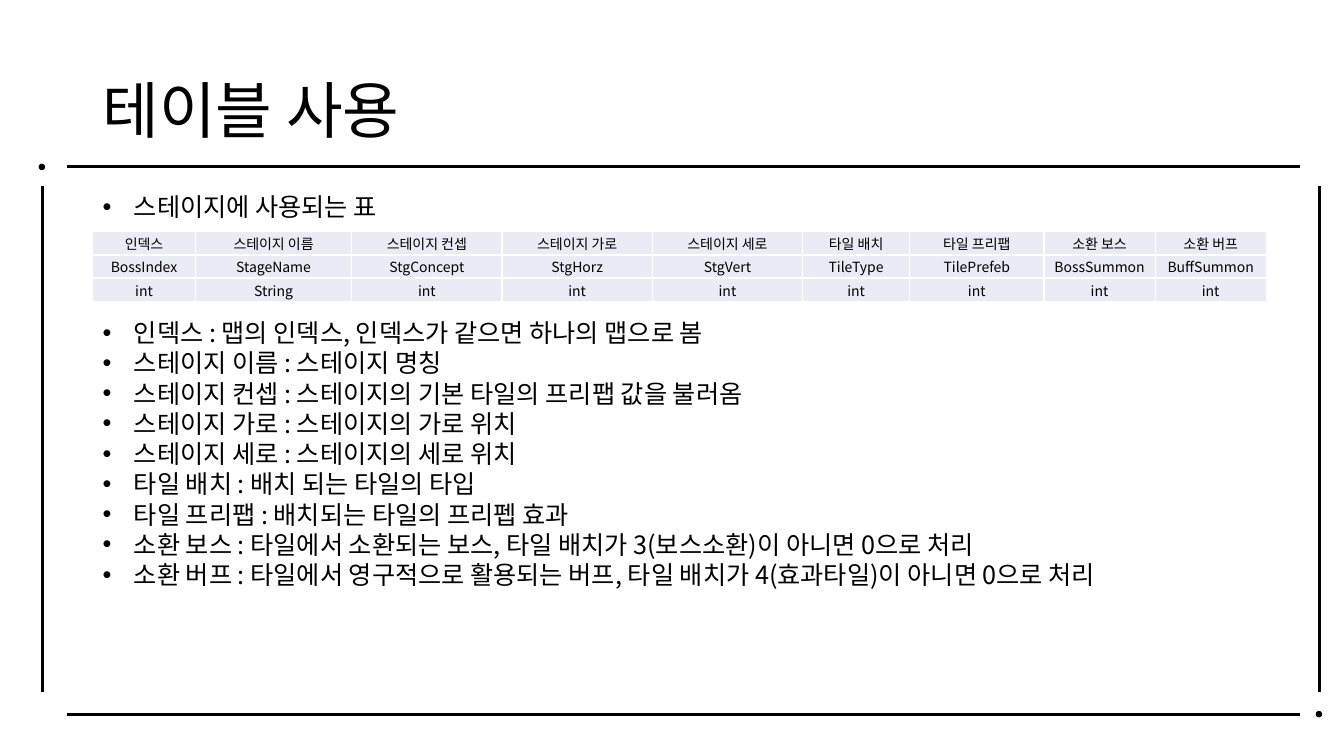
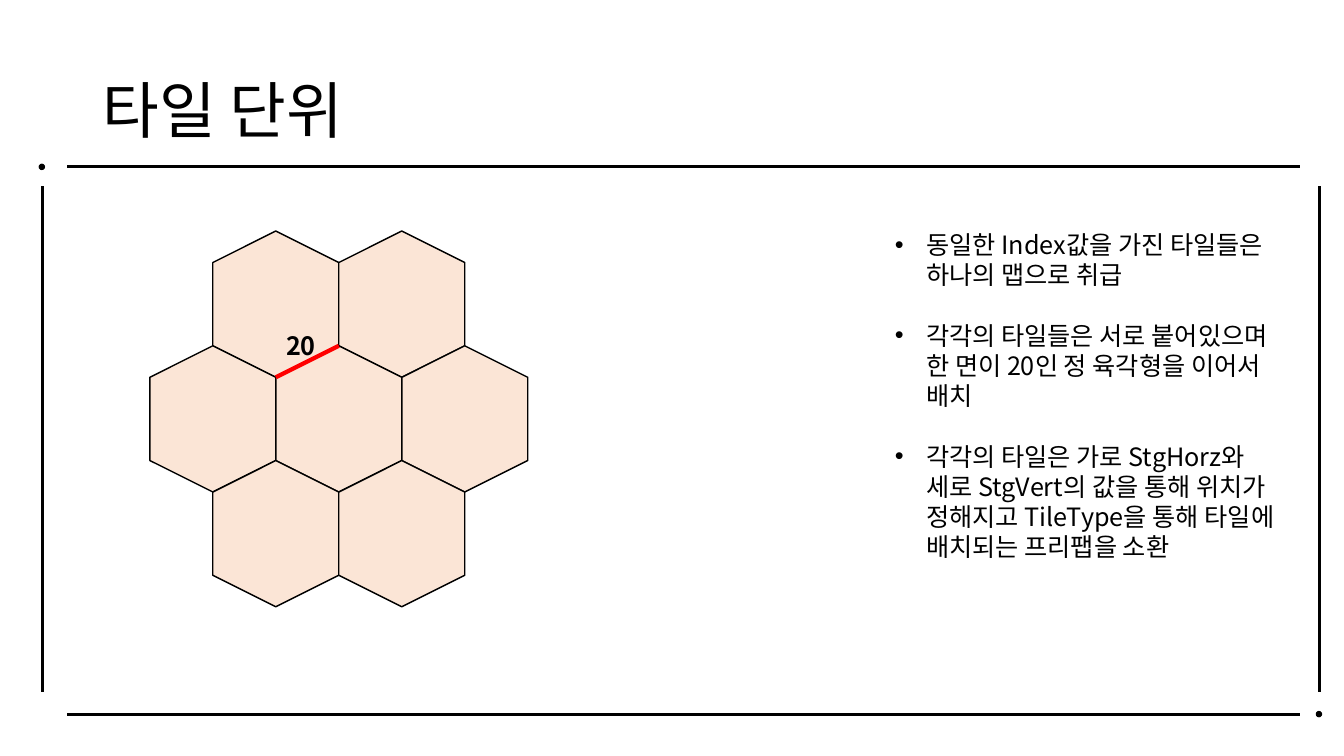
from lxml import etree
from pptx import Presentation
from pptx.dml.color import RGBColor
from pptx.enum.shapes import MSO_CONNECTOR, MSO_SHAPE
from pptx.enum.text import MSO_ANCHOR, PP_ALIGN
from pptx.oxml.ns import qn
from pptx.util import Pt

STRAIGHT = MSO_CONNECTOR.STRAIGHT
HEXAGON, OVAL = MSO_SHAPE.HEXAGON, MSO_SHAPE.OVAL
TOP, MIDDLE = MSO_ANCHOR.TOP, MSO_ANCHOR.MIDDLE
LEFT, CENTER = PP_ALIGN.LEFT, PP_ALIGN.CENTER

FONT = "Noto Sans CJK KR"
BLACK, WHITE, RED = "000000", "FFFFFF", "FF0000"
CELL_FILL, TILE_FILL = "E9EBF5", "FBE5D6"
LINE_HEIGHT = Pt(21.6)
INDENT = Pt(22.3)

FRAME_LINES = [
    (48.2, 118.8, 928.8, 118.8),
    (48.2, 510.5, 928.8, 510.5),
    (30.2, 133.2, 30.2, 494.6),
    (942.5, 133.2, 942.5, 494.6),
]
FRAME_DOTS = [(942.1, 510.1), (29.9, 119.2)]
DOT_SIZE = 3.6

TABLE_TITLE = "테이블 사용"
TABLE_CAPTION = ["스테이지에 사용되는 표"]
STAGE_FIELDS = [
    ("인덱스", "BossIndex", "int", 73.4),
    ("스테이지 이름", "StageName", "String", 111.6),
    ("스테이지 컨셉", "StgConcept", "int", 107.4),
    ("스테이지 가로", "StgHorz", "int", 107.4),
    ("스테이지 세로", "StgVert", "int", 107.4),
    ("타일 배치", "TileType", "int", 76.4),
    ("타일 프리팹", "TilePrefeb", "int", 96),
    ("소환 보스", "BossSummon", "int", 79.4),
    ("소환 버프", "BuffSummon", "int", 79.4),
]
FIELD_NOTES = [
    "인덱스 : 맵의 인덱스, 인덱스가 같으면 하나의 맵으로 봄",
    "스테이지 이름 : 스테이지 명칭",
    "스테이지 컨셉 : 스테이지의 기본 타일의 프리팹 값을 불러옴",
    "스테이지 가로 : 스테이지의 가로 위치",
    "스테이지 세로 : 스테이지의 세로 위치",
    "타일 배치 : 배치 되는 타일의 타입",
    "타일 프리팹 : 배치되는 타일의 프리펩 효과",
    "소환 보스 : 타일에서 소환되는 보스, 타일 배치가 3(보스소환)이 아니면 0으로 처리",
    "소환 버프 : 타일에서 영구적으로 활용되는 버프, 타일 배치가 4(효과타일)이 아니면 0으로 처리",
]

TILE_TITLE = "타일 단위"
TILE_NOTES = [
    "동일한 Index값을 가진 타일들은\n하나의 맵으로 취급",
    "각각의 타일들은 서로 붙어있으며\n한 면이 20인 정 육각형을 이어서\n배치",
    "각각의 타일은 가로 StgHorz와\n세로 StgVert의 값을 통해 위치가\n정해지고 TileType을 통해 타일에\n배치되는 프리팹을 소환",
]
SIDE_LENGTH = "20"
TILES_PER_ROW = [2, 3, 2]
TILE_CENTER = (242, 299.2)
TILE_HEIGHT, TILE_WIDTH = 104.4, 90
ROW_STEP = 82


def color(value):
    return RGBColor.from_string(value)


def apply(target, values):
    for name, value in values.items():
        setattr(target, name, value)


def write(paragraph, text, size, bold=False, **layout):
    paragraph.text = text
    apply(paragraph, layout)
    for run in paragraph.runs:
        apply(run.font, {"name": FONT, "size": Pt(size), "bold": bold})
        run.font.color.rgb = color(BLACK)
        etree.SubElement(run._r.get_or_add_rPr(), qn("a:ea"), typeface=FONT)


def add_bullet(paragraph):
    properties = paragraph._p.get_or_add_pPr()
    properties.set("marL", str(INDENT))
    properties.set("indent", str(-INDENT))
    etree.SubElement(properties, qn("a:buFont"), typeface="Arial")
    etree.SubElement(properties, qn("a:buChar"), char="•")


def add_text(slide, box, lines, size=18, bold=False, bullets=False, gap=0,
             anchor=TOP, inset=7.2, align=LEFT, spacing=LINE_HEIGHT):
    frame = slide.shapes.add_textbox(*map(Pt, box)).text_frame
    apply(frame, {"word_wrap": True, "vertical_anchor": anchor,
                  "margin_left": Pt(inset), "margin_right": Pt(inset)})
    for index, line in enumerate(lines):
        paragraph = frame.add_paragraph() if index else frame.paragraphs[0]
        write(paragraph, line, size, bold, alignment=align, line_spacing=spacing,
              space_before=Pt(gap if index else 0))
        if bullets:
            add_bullet(paragraph)


def add_line(slide, ends, stroke, width):
    line = slide.shapes.add_connector(STRAIGHT, *map(Pt, ends))
    line.line.color.rgb = color(stroke)
    line.line.width = Pt(width)
    etree.SubElement(line._element.spPr, qn("a:effectLst"))


def add_centered(slide, kind, center, width, height, fill, rotation=0):
    x, y = center
    shape = slide.shapes.add_shape(
        kind, Pt(x - width / 2), Pt(y - height / 2), Pt(width), Pt(height))
    shape.shadow.inherit = False
    shape.rotation = rotation
    shape.fill.solid()
    shape.fill.fore_color.rgb = color(fill)
    shape.line.color.rgb = color(BLACK)
    shape.line.width = Pt(1)


def add_slide(deck, title):
    slide = deck.slides.add_slide(deck.slide_layouts[6])
    for ends in FRAME_LINES:
        add_line(slide, ends, BLACK, 2.25)
    for center in FRAME_DOTS:
        add_centered(slide, OVAL, center, DOT_SIZE, DOT_SIZE, BLACK)
    add_text(slide, (66.2, 28.8, 828, 104.4), [title], size=44,
             anchor=MIDDLE, spacing=0.9)
    return slide


def add_borders(cell):
    properties = cell._tc.get_or_add_tcPr()
    for index, side in enumerate(("lnL", "lnR", "lnT", "lnB")):
        border = etree.Element(qn(f"a:{side}"), w=str(Pt(1)))
        fill = etree.SubElement(border, qn("a:solidFill"))
        etree.SubElement(fill, qn("a:srgbClr"), val=WHITE)
        properties.insert(index, border)


def add_field_table(slide, left, top, row_height):
    *columns, widths = zip(*STAGE_FIELDS)
    table = slide.shapes.add_table(
        len(columns), len(widths), Pt(left), Pt(top),
        Pt(sum(widths)), Pt(row_height * len(columns))).table
    apply(table, {"first_row": False, "horz_banding": False})
    for column, width in zip(table.columns, widths):
        column.width = Pt(width)
    for row, texts in zip(table.rows, columns):
        row.height = Pt(row_height)
        for cell, text in zip(row.cells, texts):
            apply(cell, {"margin_left": Pt(0.7), "margin_right": Pt(0.7),
                         "margin_top": Pt(0.7), "margin_bottom": 0,
                         "vertical_anchor": MIDDLE})
            cell.fill.solid()
            cell.fill.fore_color.rgb = color(CELL_FILL)
            add_borders(cell)
            write(cell.text_frame.paragraphs[0], text, 10, alignment=CENTER)


def add_tiles(slide):
    center_x, center_y = TILE_CENTER
    for row, count in enumerate(TILES_PER_ROW):
        y = center_y + (row - (len(TILES_PER_ROW) - 1) / 2) * ROW_STEP
        for column in range(count):
            x = center_x + (column - (count - 1) / 2) * TILE_WIDTH
            add_centered(slide, HEXAGON, (x, y), TILE_HEIGHT, TILE_WIDTH,
                         TILE_FILL, rotation=270)
    peak_y = center_y - TILE_HEIGHT / 2
    shoulder_y = peak_y + TILE_WIDTH / 4
    add_line(slide, (center_x - TILE_WIDTH / 2, shoulder_y, center_x, peak_y), RED, 3)


deck = Presentation()
apply(deck, {"slide_width": Pt(960), "slide_height": Pt(540)})

table_slide = add_slide(deck, TABLE_TITLE)
add_field_table(table_slide, 66.2, 165.6, 16.5)
add_text(table_slide, (66.2, 133.2, 231.8, 28.8), TABLE_CAPTION, bullets=True)
add_text(table_slide, (66.2, 223.2, 807.8, 203.8), FIELD_NOTES, bullets=True)

tile_slide = add_slide(deck, TILE_TITLE)
add_tiles(tile_slide)
add_text(tile_slide, (632.2, 160.2, 313.9, 247), TILE_NOTES, bullets=True, gap=21.6)
add_text(tile_slide, (197.3, 232.6, 35.3, 28.8), [SIDE_LENGTH], bold=True,
         inset=0, align=CENTER)

deck.save("out.pptx")
